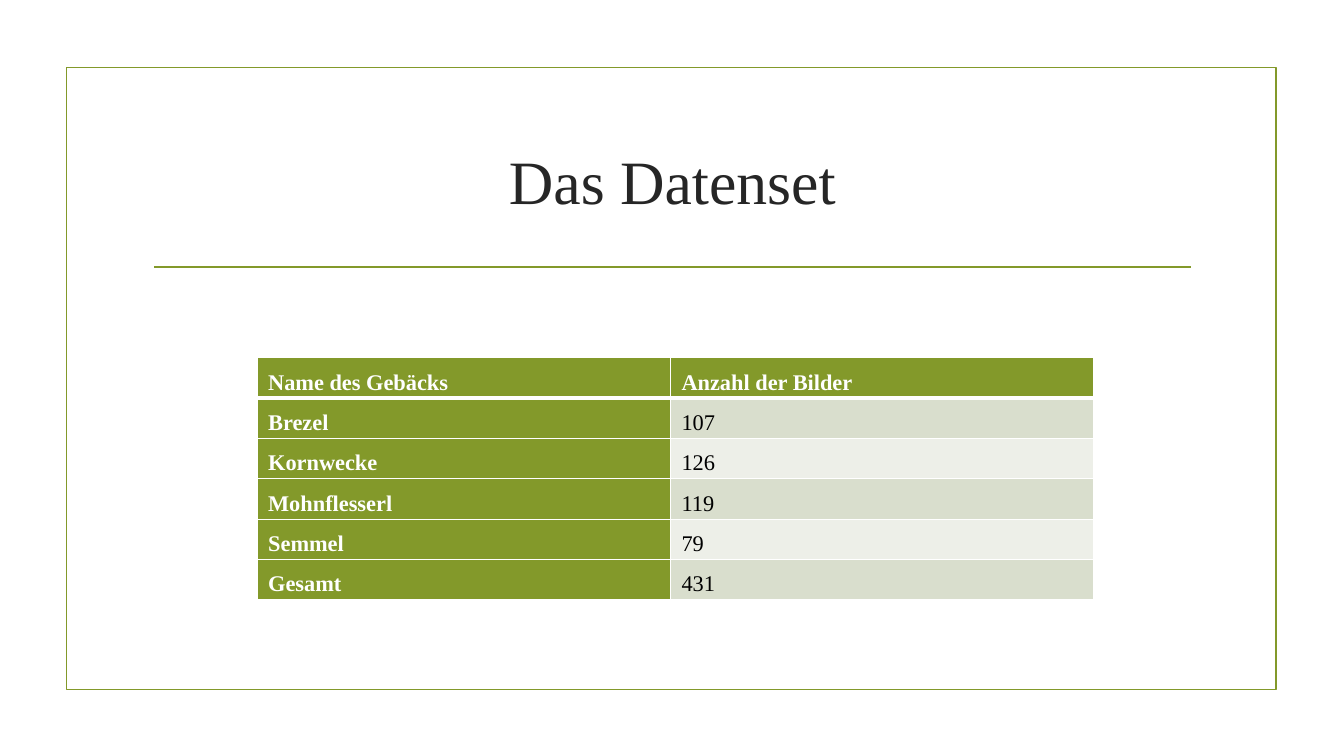
from lxml import etree
from pptx import Presentation
from pptx.dml.color import RGBColor
from pptx.enum import shapes, text
from pptx.oxml.ns import qn
from pptx.util import Inches, Pt

TITLE = "Das Datenset"
ROWS = [
    ("Name des Gebäcks", "Anzahl der Bilder"),
    ("Brezel", "107"),
    ("Kornwecke", "126"),
    ("Mohnflesserl", "119"),
    ("Semmel", "79"),
    ("Gesamt", "431"),
]
COLUMN_WIDTHS = (4.1, 4.2)
ROW_HEIGHT = 0.35
TABLE_HEIGHT = 2.4
COLORS = {
    "green": "83992A",
    "title": "262626",
    "white": "FFFFFF",
    "black": "000000",
    "odd": "D9DECD",
    "even": "EDEFE8",
}
FONT = "Times New Roman"


def color(name):
    return RGBColor.from_string(COLORS[name])


def write(frame, content, size, ink, bold=False, align=None, spacing=None):
    paragraph = frame.paragraphs[0]
    paragraph.alignment = align
    paragraph.line_spacing = spacing
    run = paragraph.add_run()
    run.text = content
    run.font.name = FONT
    run.font.size = Pt(size)
    run.font.bold = bold
    run.font.color.rgb = color(ink)


def add_borders(cell, bottom_width):
    properties = cell._tc.get_or_add_tcPr()
    widths = {"a:lnL": 1, "a:lnR": 1, "a:lnT": 1, "a:lnB": bottom_width}
    for position, (tag, width) in enumerate(widths.items()):
        line = etree.Element(qn(tag), w=str(Pt(width)))
        fill = etree.SubElement(line, qn("a:solidFill"))
        etree.SubElement(fill, qn("a:srgbClr"), val=COLORS["white"])
        properties.insert(position, line)


def add_frame(slide):
    frame = slide.shapes.add_shape(
        shapes.MSO_SHAPE.RECTANGLE, Inches(0.66), Inches(0.67), Inches(12), Inches(6.17)
    )
    frame.shadow.inherit = False
    frame.fill.background()
    frame.line.color.rgb = color("green")
    frame.line.width = Pt(1.25)


def add_rule(slide):
    rule = slide.shapes.add_connector(
        shapes.MSO_CONNECTOR.STRAIGHT, Inches(1.53), Inches(2.65), Inches(11.81), Inches(2.65)
    )
    rule.line.color.rgb = color("green")
    rule.line.width = Pt(1.25)
    etree.SubElement(rule._element.spPr, qn("a:effectLst"))


def add_title(slide):
    box = slide.shapes.add_textbox(Inches(1.42), Inches(1.07), Inches(10.5), Inches(1.43))
    box.text_frame.word_wrap = True
    box.text_frame.vertical_anchor = text.MSO_ANCHOR.MIDDLE
    write(box.text_frame, TITLE, size=44, ink="title", align=text.PP_ALIGN.CENTER)


def add_counts(slide):
    holder = slide.shapes.add_table(
        len(ROWS), len(COLUMN_WIDTHS), Inches(2.55), Inches(3.55),
        Inches(sum(COLUMN_WIDTHS)), Inches(TABLE_HEIGHT),
    )
    table = holder.table
    table.first_col = True
    for column, width in zip(table.columns, COLUMN_WIDTHS):
        column.width = Inches(width)
    for row_index, values in enumerate(ROWS):
        table.rows[row_index].height = Inches(ROW_HEIGHT)
        for column_index, value in enumerate(values):
            cell = table.cell(row_index, column_index)
            heading = row_index == 0 or column_index == 0
            band = "odd" if row_index % 2 else "even"
            cell.margin_left = cell.margin_right = Inches(0.11)
            cell.margin_top = cell.margin_bottom = 0
            cell.fill.solid()
            cell.fill.fore_color.rgb = color("green" if heading else band)
            add_borders(cell, bottom_width=3 if row_index == 0 else 1)
            write(cell.text_frame, value, size=16, bold=heading, spacing=1.5,
                  ink="white" if heading else "black")
    holder.height = Inches(TABLE_HEIGHT)


def main():
    presentation = Presentation()
    presentation.slide_width = Inches(13.33)
    presentation.slide_height = Inches(7.5)
    slide = presentation.slides.add_slide(presentation.slide_layouts[6])
    add_frame(slide)
    add_rule(slide)
    add_title(slide)
    add_counts(slide)
    presentation.save("out.pptx")


if __name__ == "__main__":
    main()
